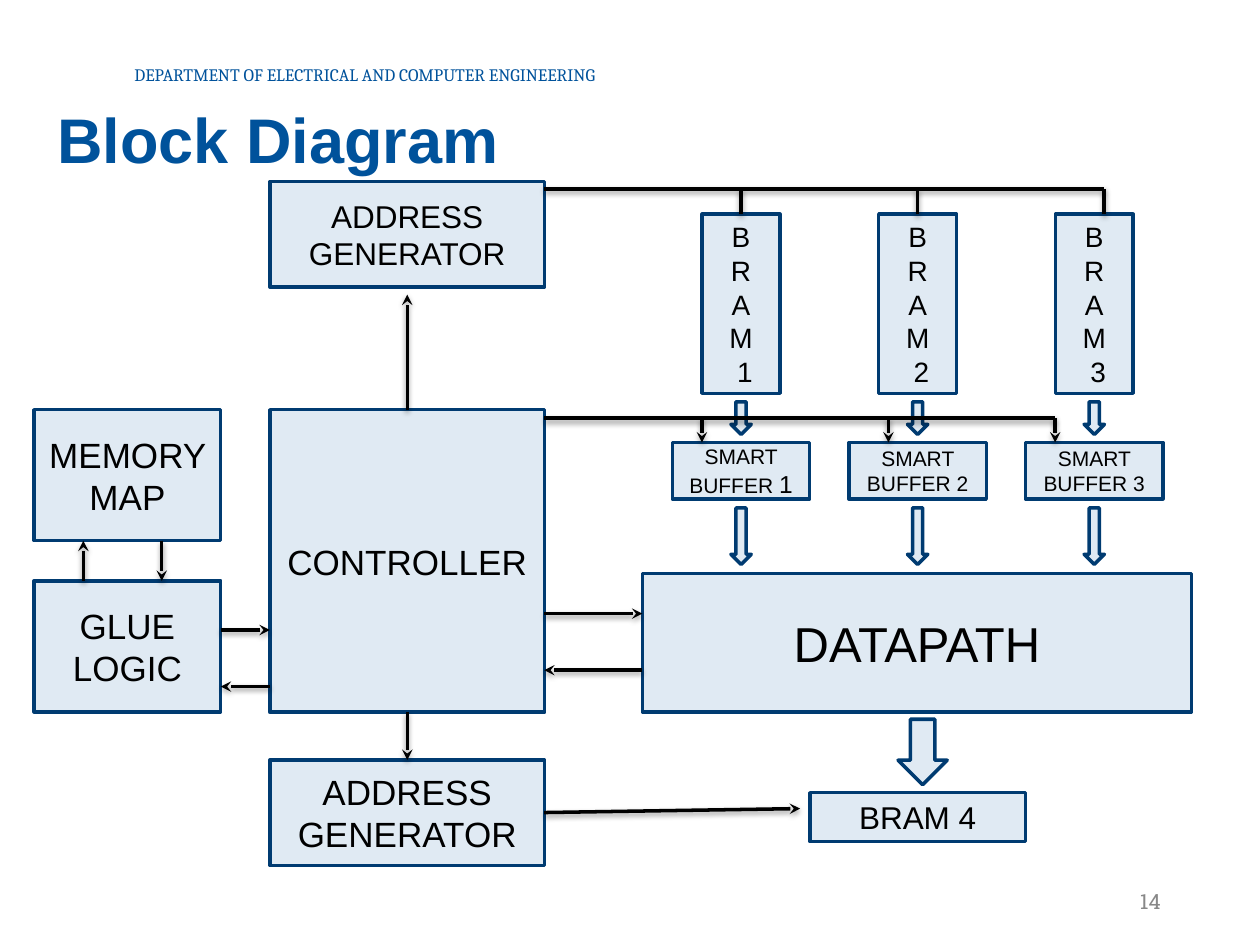
from dataclasses import dataclass

from lxml.etree import SubElement
from pptx import Presentation
from pptx.dml.color import RGBColor
from pptx.enum.shapes import MSO_CONNECTOR, MSO_SHAPE
from pptx.enum.text import MSO_ANCHOR, PP_ALIGN
from pptx.oxml.ns import qn
from pptx.util import Cm, Pt


@dataclass(frozen=True)
class Theme:
    heading: RGBColor = RGBColor(0x00, 0x52, 0x9B)
    box_fill: RGBColor = RGBColor(0xE0, 0xEA, 0xF3)
    box_line: RGBColor = RGBColor(0x00, 0x3B, 0x71)
    ink: RGBColor = RGBColor(0x00, 0x00, 0x00)
    muted: RGBColor = RGBColor(0x88, 0x88, 0x88)
    body_font: str = "Arial"
    header_font: str = "Cambria"
    number_font: str = "Roboto Slab"
    header_size: int = 10
    small_size: int = 12
    small_digit_size: int = 14
    bram_size: int = 16
    medium_size: int = 18
    large_size: int = 20
    datapath_size: int = 28
    title_size: int = 36
    line_width: int = 2


class DiagramSlide:
    """Draws diagram elements on one slide; all lengths are centimetres."""

    def __init__(self, slide, theme):
        self.shapes = slide.shapes
        self.theme = theme

    def format_run(self, run, size, color, font, bold=False):
        run.font.size = Pt(size)
        run.font.color.rgb = color
        run.font.name = font
        run.font.bold = bold

    def fill_text(self, shape, text, size, color, font, align, anchor, bold=False):
        frame = shape.text_frame
        frame.word_wrap = True
        frame.vertical_anchor = anchor
        frame.text = text
        for paragraph in frame.paragraphs:
            paragraph.alignment = align
            for run in paragraph.runs:
                self.format_run(run, size, color, font, bold)

    def label(self, left, top, width, height, text, size, color, font,
              align=PP_ALIGN.LEFT, anchor=MSO_ANCHOR.TOP, bold=False):
        shape = self.shapes.add_textbox(Cm(left), Cm(top), Cm(width), Cm(height))
        self.fill_text(shape, text, size, color, font, align, anchor, bold)

    def outlined(self, preset, left, top, width, height):
        shape = self.shapes.add_shape(preset, Cm(left), Cm(top), Cm(width), Cm(height))
        shape.shadow.inherit = False
        shape.fill.solid()
        shape.fill.fore_color.rgb = self.theme.box_fill
        shape.line.color.rgb = self.theme.box_line
        shape.line.width = Pt(self.theme.line_width)
        return shape

    def box(self, left, top, width, height, text, size):
        shape = self.outlined(MSO_SHAPE.RECTANGLE, left, top, width, height)
        self.fill_text(shape, text, size, self.theme.ink, self.theme.body_font,
                       PP_ALIGN.CENTER, MSO_ANCHOR.MIDDLE)
        return shape

    def block_arrow(self, center, top, width, height):
        self.outlined(MSO_SHAPE.DOWN_ARROW, center - width / 2, top, width, height)

    def line(self, x1, y1, x2, y2, arrow=False):
        connector = self.shapes.add_connector(
            MSO_CONNECTOR.STRAIGHT, Cm(x1), Cm(y1), Cm(x2), Cm(y2))
        connector.line.color.rgb = self.theme.ink
        connector.line.width = Pt(self.theme.line_width)
        if arrow:
            SubElement(connector.line._get_or_add_ln(), qn("a:tailEnd"), type="stealth")
        self.add_soft_shadow(connector)

    def add_soft_shadow(self, connector):
        effects = SubElement(connector._element.spPr, qn("a:effectLst"))
        shadow = SubElement(effects, qn("a:outerShdw"), blurRad=str(Pt(3.1)),
                            dist=str(Pt(1.6)), dir="5400000", rotWithShape="0")
        color = SubElement(shadow, qn("a:srgbClr"), val=str(self.theme.ink))
        SubElement(color, qn("a:alpha"), val="38000")


def draw_text(diagram, theme):
    diagram.label(2.46, 1.17, 14.15, 0.69,
                  "DEPARTMENT OF ELECTRICAL AND COMPUTER ENGINEERING",
                  theme.header_size, theme.heading, theme.header_font)
    diagram.label(0.91, 1.9, 24.1, 2.82, "Block Diagram", theme.title_size,
                  theme.heading, theme.body_font, bold=True)
    diagram.label(17.93, 17.65, 5.72, 1.02, "14", theme.number_size
                  if hasattr(theme, "number_size") else theme.small_size,
                  theme.muted, theme.number_font, PP_ALIGN.RIGHT, MSO_ANCHOR.MIDDLE)


def draw_main_blocks(diagram, theme):
    for left, top, width, height, text, size in (
        (16.33, 15.98, 4.34, 0.99, "BRAM 4", theme.medium_size),
        (12.95, 11.56, 11.07, 2.79, "DATAPATH", theme.datapath_size),
        (5.44, 8.26, 5.54, 6.1, "CONTROLLER", theme.large_size),
        (5.44, 3.66, 5.54, 2.13, "ADDRESS\nGENERATOR", theme.medium_size),
        (5.44, 15.32, 5.54, 2.13, "ADDRESS\nGENERATOR", theme.large_size),
        (0.69, 11.71, 3.76, 2.64, "GLUE LOGIC", theme.large_size),
        (0.69, 8.26, 3.76, 2.64, "MEMORY MAP", theme.large_size),
    ):
        diagram.box(left, top, width, height, text, size)
    diagram.block_arrow(18.6, 14.5, 0.99, 1.32)


def draw_memory_columns(diagram, theme):
    """Draw each BRAM with its smart buffer and the arrows below both."""
    first_center, pitch = 14.94, 3.56
    bram_width, buffer_width, arrow_width = 1.57, 2.77, 0.41
    for number in (1, 2, 3):
        center = first_center + (number - 1) * pitch
        diagram.box(center - bram_width / 2, 4.32, bram_width, 3.61,
                    "\n".join([*"BRAM", f" {number}"]), theme.bram_size)
        smart_buffer = diagram.box(center - buffer_width / 2, 8.92, buffer_width, 1.14,
                                   "SMART BUFFER ", theme.small_size)
        digit = smart_buffer.text_frame.paragraphs[0].add_run()
        digit.text = str(number)
        digit_size = theme.small_digit_size if number == 1 else theme.small_size
        diagram.format_run(digit, digit_size, theme.ink, theme.body_font)
        diagram.block_arrow(center, 8.1, arrow_width, 0.66)
        diagram.block_arrow(center, 10.24, arrow_width, 1.14)


def draw_connections(diagram):
    controller_right, address_bus, control_bus = 10.97, 3.81, 8.43
    address_taps = (14.94, 18.5, 22.26)
    control_taps = (14.15, 17.91, 21.27)

    diagram.line(controller_right, address_bus, address_taps[-1], address_bus)
    for tap in address_taps:
        diagram.line(tap, 4.32, tap, address_bus)
    diagram.line(controller_right, control_bus, control_taps[-1], control_bus)
    for tap in control_taps:
        diagram.line(tap, control_bus, tap, 8.92, arrow=True)

    for ends in (
        (controller_right, 16.38, 16.13, 16.3),  # address generator to BRAM 4
        (12.95, 13.51, controller_right, 13.51),  # datapath to controller
        (controller_right, 12.37, 12.95, 12.37),  # controller to datapath
        (8.21, 14.35, 8.21, 15.32),  # controller to lower address generator
        (8.21, 8.26, 8.21, 5.94),  # controller to upper address generator
        (5.44, 13.84, 4.45, 13.84),  # controller to glue logic
        (4.45, 12.7, 5.44, 12.7),  # glue logic to controller
        (1.68, 11.71, 1.68, 10.9),  # glue logic to memory map
        (3.26, 10.9, 3.26, 11.71),  # memory map to glue logic
    ):
        diagram.line(*ends, arrow=True)


def main():
    presentation = Presentation()
    presentation.slide_width = Cm(25.4)
    presentation.slide_height = Cm(19.05)
    slide = presentation.slides.add_slide(presentation.slide_layouts[6])
    theme = Theme()
    diagram = DiagramSlide(slide, theme)
    draw_text(diagram, theme)
    draw_main_blocks(diagram, theme)
    draw_memory_columns(diagram, theme)
    draw_connections(diagram)
    presentation.save("out.pptx")


if __name__ == "__main__":
    main()
